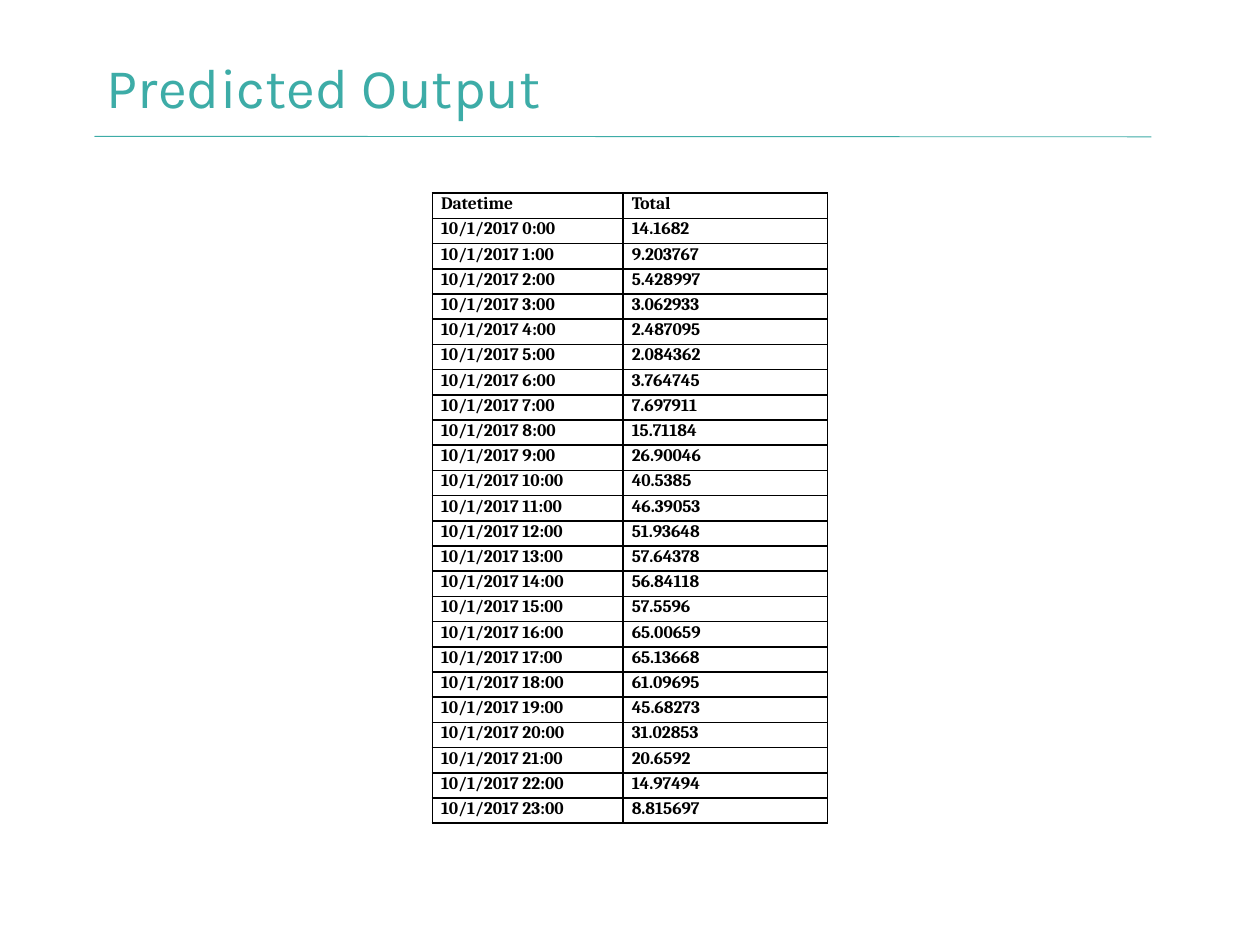
from dataclasses import dataclass

from lxml.etree import SubElement as Sub
from pptx import Presentation as Deck
from pptx.dml.color import RGBColor as Rgb
from pptx.enum.shapes import MSO_CONNECTOR as Link
from pptx.enum.text import MSO_ANCHOR as Anchor, PP_ALIGN as Align
from pptx.oxml.ns import qn
from pptx.util import Pt


@dataclass(frozen=True)
class Theme:
    teal: str = "3DACA7"
    black: str = "000000"
    head: str = "Karla"
    body: str = "Cambria"
    large: float = 32
    small: float = 10
    thin: float = 0.5
    edge: float = 1


class Page:
    """Draws styled elements on one slide, with lengths in points."""

    def __init__(self, slide, theme):
        self.shapes = slide.shapes
        self.theme = theme

    def font(self, para, name, size, tint, bold=False):
        font = para.font
        font.name, font.size, font.bold = name, Pt(size), bold
        font.color.rgb = Rgb.from_string(tint)

    def rule(self, *ends):
        line = self.shapes.add_connector(Link.STRAIGHT, *map(Pt, ends))
        line.line.color.rgb = Rgb.from_string(self.theme.teal)
        line.line.width = Pt(self.theme.thin)
        Sub(line._element.spPr, qn("a:effectLst"))

    def title(self, text, *box):
        frame = self.shapes.add_textbox(*map(Pt, box)).text_frame
        frame.word_wrap = True
        frame.vertical_anchor = Anchor.MIDDLE
        para = frame.paragraphs[0]
        para.text = text
        para.line_spacing = 0.9
        self.font(para, self.theme.head, self.theme.large, self.theme.teal)

    def border(self, cell):
        props = cell._tc.get_or_add_tcPr()
        for index, side in enumerate(("lnL", "lnR", "lnT", "lnB")):
            line = props.makeelement(qn(f"a:{side}"), {"w": str(Pt(self.theme.edge))})
            props.insert(index, line)
            fill = Sub(line, qn("a:solidFill"))
            Sub(fill, qn("a:srgbClr"), val=self.theme.black)

    def cell(self, cell, text):
        cell.margin_left = cell.margin_right = Pt(5.04)
        cell.margin_top = cell.margin_bottom = 0
        cell.fill.background()
        self.border(cell)
        para = cell.text_frame.paragraphs[0]
        para.text = text
        para.alignment = Align.JUSTIFY
        para.line_spacing, para.space_after = Pt(12), Pt(6)
        self.font(para, self.theme.body, self.theme.small, self.theme.black, True)

    def table(self, rows, left, top, widths, step):
        size = Pt(sum(widths)), Pt(step * len(rows))
        table = self.shapes.add_table(
            len(rows), len(widths), Pt(left), Pt(top), *size).table
        table.first_row = table.horz_banding = False
        for col, width in zip(table.columns, widths):
            col.width = Pt(width)
        for line, row in zip(table.rows, rows):
            line.height = Pt(step)
            for cell, text in zip(line.cells, row):
                self.cell(cell, text)


TOTALS = """
14.1682 9.203767 5.428997 3.062933 2.487095 2.084362
3.764745 7.697911 15.71184 26.90046 40.5385 46.39053
51.93648 57.64378 56.84118 57.5596 65.00659 65.13668
61.09695 45.68273 31.02853 20.6592 14.97494 8.815697
""".split()


def main():
    deck = Deck()
    deck.slide_width, deck.slide_height = Pt(720), Pt(540)
    page = Page(deck.slides.add_slide(deck.slide_layouts[6]), Theme())
    page.rule(54, 77.9, 658, 78.2)
    page.title("Predicted Output", 54, 25.2, 539.3, 52.6)
    rows = [("Datetime", "Total")]
    rows += [(f"10/1/2017 {hour}:00", total) for hour, total in enumerate(TOTALS)]
    page.table(rows, 247, 110.4, (109, 117), 14.4)
    deck.save("out.pptx")


if __name__ == "__main__":
    main()
